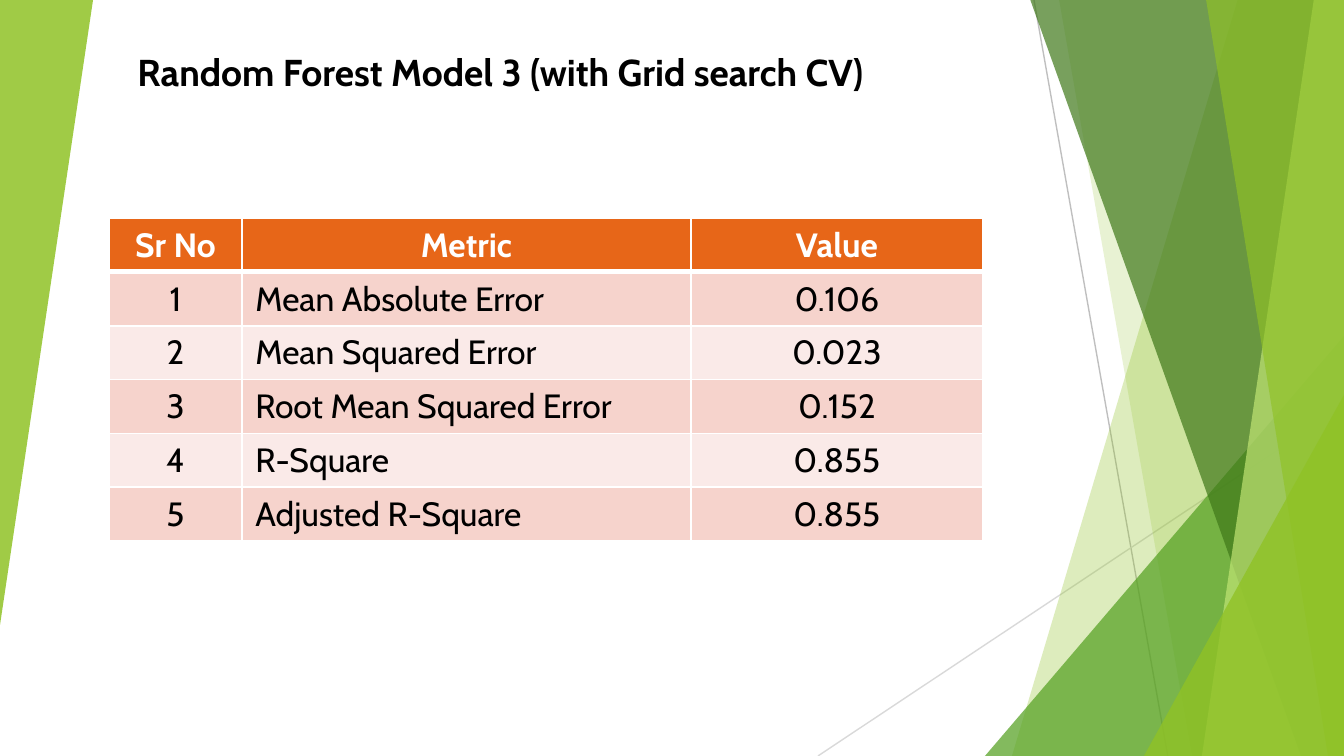
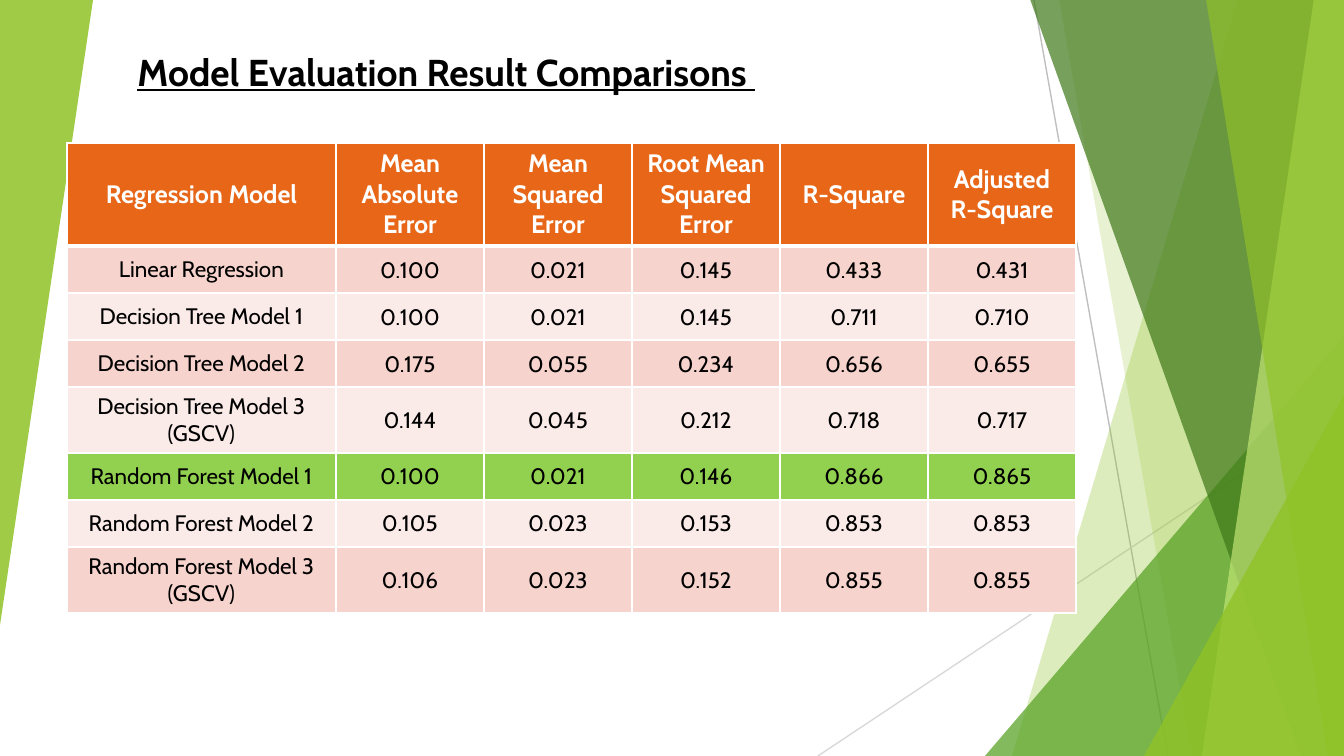
from lxml.etree import SubElement
from pptx import Presentation
from pptx.dml.color import RGBColor
from pptx.enum.shapes import MSO_CONNECTOR as CONN, MSO_SHAPE as SHAPE
from pptx.enum.text import MSO_ANCHOR as ANCHOR, MSO_AUTO_SIZE as AUTO, PP_ALIGN as ALIGN
from pptx.oxml.ns import qn
from pptx.util import Emu, Pt

SCALE = 914400 / 134.4
W, H = 1344, 756
FONT = "Cabin"
COLORS = {
    "black": "000000", "white": "FFFFFF", "header": "E76618",
    "band_dark": "F6D3CC", "band_light": "FAEAE8", "best": "92D050",
    "lime": "90C226", "leaf": "54A021", "forest": "3F7819", "pale": "C0E474",
    "gray": "BFBFBF", "silver": "D9D9D9",
}

RAYS = [
    ((1034, 0, 1168, 757), "gray"),
    ((1344, 406, 818, 756), "silver"),
]
FACETS = [
    ("panel", (1238, 1012), "lime", 30),
    ("panel", (1059, 1192), "lime", 20),
    ("triangle", (985, 336, 359, 420), "leaf", 72),
    ("panel", (1030, 1301), "forest", 70),
    ("panel", (1314, 1202), "pale", 70),
    ("panel", (1206, 1328), "lime", 65),
    ("triangle", (1144, 395, 200, 361), "lime", 80),
    ("flipped", (0, 0, 93, 625), "lime", 85),
]
TITLE_BOX = (124, 42, 829, 59)

SLIDES = [
    {
        "title": "Random Forest Model 3 (with Grid search CV)",
        "underline": False,
        "at": (109, 218),
        "cols": [133, 449, 292],
        "heights": [54] + [53] * 5,
        "sizes": (18, 18),
        "anchor": ANCHOR.TOP,
        "left_col": 1,
        "insets": None,
        "best_row": None,
        "rows": [
            ("Sr No", "Metric", "Value"),
            ("1", "Mean Absolute Error", "0.106"),
            ("2", "Mean Squared Error", "0.023"),
            ("3", "Root Mean Squared Error", "0.152"),
            ("4", "R-Square", "0.855"),
            ("5", "Adjusted R-Square", "0.855"),
        ],
    },
    {
        "title": "Model Evaluation Result Comparisons ",
        "underline": True,
        "at": (67, 143),
        "cols": [269] + [148] * 5,
        "heights": [103, 47, 47, 47, 66, 47, 47, 66],
        "sizes": (13.5, 12),
        "anchor": ANCHOR.MIDDLE,
        "left_col": None,
        "insets": {"label": (12, 5, 12, 5), "value": (1, 1, 1, 0)},
        "best_row": 5,
        "rows": [
            ("Regression Model", "Mean Absolute Error", "Mean Squared Error",
             "Root Mean Squared Error", "R-Square", "Adjusted R-Square"),
            ("Linear Regression", "0.100", "0.021", "0.145", "0.433", "0.431"),
            ("Decision Tree Model 1", "0.100", "0.021", "0.145", "0.711", "0.710"),
            ("Decision Tree Model 2", "0.175", "0.055", "0.234", "0.656", "0.655"),
            ("Decision Tree Model 3 (GSCV)", "0.144", "0.045", "0.212", "0.718", "0.717"),
            ("Random Forest Model 1", "0.100", "0.021", "0.146", "0.866", "0.865"),
            ("Random Forest Model 2", "0.105", "0.023", "0.153", "0.853", "0.853"),
            ("Random Forest Model 3 (GSCV)", "0.106", "0.023", "0.152", "0.855", "0.855"),
        ],
    },
]


def px(n):
    return Emu(round(n * SCALE))


def rgb(name):
    return RGBColor.from_string(COLORS[name])


def set_attrs(obj, values):
    for key, value in values.items():
        setattr(obj, key, value)


def write(tf, text, size, color, align=ALIGN.LEFT, bold=False, underline=None):
    p = tf.paragraphs[0]
    p.alignment = align
    r = p.add_run()
    r.text = text
    set_attrs(r.font, {"name": FONT, "size": Pt(size), "bold": bold, "underline": underline})
    r.font.color.rgb = rgb(color)


def add_ray(shapes, ends, color):
    line = shapes.add_connector(CONN.STRAIGHT, *map(px, ends))
    line.line.color.rgb = rgb(color)
    line.line.width = Pt(0.75)
    SubElement(line.element.spPr, qn("a:effectLst"))


def add_facet(shapes, kind, geometry, color, alpha):
    if kind == "panel":
        top, bottom = geometry
        fb = shapes.build_freeform(top, -1, scale=SCALE)
        fb.add_line_segments([(W, -1), (W, H), (bottom, H)], close=True)
        sp = fb.convert_to_shape()
    else:
        sp = shapes.add_shape(SHAPE.ISOSCELES_TRIANGLE, *map(px, geometry))
        sp.adjustments[0] = 1
        sp.rotation = 180 if kind == "flipped" else 0
    sp.shadow.inherit = False
    sp.line.fill.background()
    sp.fill.solid()
    sp.fill.fore_color.rgb = rgb(color)
    clr = sp.element.spPr.find(qn("a:solidFill"))[0]
    SubElement(clr, qn("a:alpha"), val=str(alpha * 1000))


def decorate(layout, s):
    for ph in list(layout.placeholders)[1:]:
        ph.element.getparent().remove(ph.element)
    group = s.shapes.add_group_shape()
    for ray in RAYS:
        add_ray(group.shapes, *ray)
    for facet in FACETS:
        add_facet(group.shapes, *facet)
    layout.shapes.element.insert(2, group.element)


def add_title(s, text, underline):
    title = s.shapes.title
    set_attrs(title, dict(zip(("left", "top", "width", "height"), map(px, TITLE_BOX))))
    tf = title.text_frame
    set_attrs(tf, {"word_wrap": True, "auto_size": AUTO.SHAPE_TO_FIT_TEXT,
                   "vertical_anchor": ANCHOR.TOP})
    write(tf, text, 20, "black", bold=True, underline=underline)


def add_borders(cell, row):
    widths = {"L": 1, "R": 1, "T": 3 if row == 1 else 1, "B": 3 if row == 0 else 1}
    tc_pr = cell._tc.get_or_add_tcPr()
    for side, width in widths.items():
        ln = SubElement(tc_pr, qn(f"a:ln{side}"), w=str(Pt(width)))
        fill = SubElement(ln, qn("a:solidFill"))
        SubElement(fill, qn("a:srgbClr"), val=COLORS["white"])


def row_fill(row, best_row):
    if row == 0:
        return "header"
    if row == best_row:
        return "best"
    return "band_dark" if row % 2 else "band_light"


def add_metrics(s, data):
    rows, cols, heights = data["rows"], data["cols"], data["heights"]
    box = (*data["at"], sum(cols), sum(heights))
    table = s.shapes.add_table(len(rows), len(cols), *map(px, box)).table
    table.horz_banding = False
    for column, width in zip(table.columns, cols):
        column.width = px(width)
    for row, height in zip(table.rows, heights):
        row.height = px(height)
    for i, row in enumerate(rows):
        head = i == 0
        for j, text in enumerate(row):
            cell = table.cell(i, j)
            add_borders(cell, i)
            cell.fill.solid()
            cell.fill.fore_color.rgb = rgb(row_fill(i, data["best_row"]))
            cell.vertical_anchor = data["anchor"]
            if data["insets"]:
                inset = data["insets"]["label" if head or j == 0 else "value"]
                sides = ("margin_left", "margin_top", "margin_right", "margin_bottom")
                set_attrs(cell, dict(zip(sides, map(px, inset))))
            align = ALIGN.LEFT if j == data["left_col"] and not head else ALIGN.CENTER
            write(cell.text_frame, text, data["sizes"][0 if head else 1],
                  "white" if head else "black", align, bold=head)


def main():
    prs = Presentation()
    prs.slide_width, prs.slide_height = px(W), px(H)
    layout = prs.slide_layouts[5]
    slides = [prs.slides.add_slide(layout) for _ in SLIDES]
    decorate(layout, slides[0])
    for s, data in zip(slides, SLIDES):
        add_title(s, data["title"], data["underline"])
        add_metrics(s, data)
    prs.save("out.pptx")


if __name__ == "__main__":
    main()
